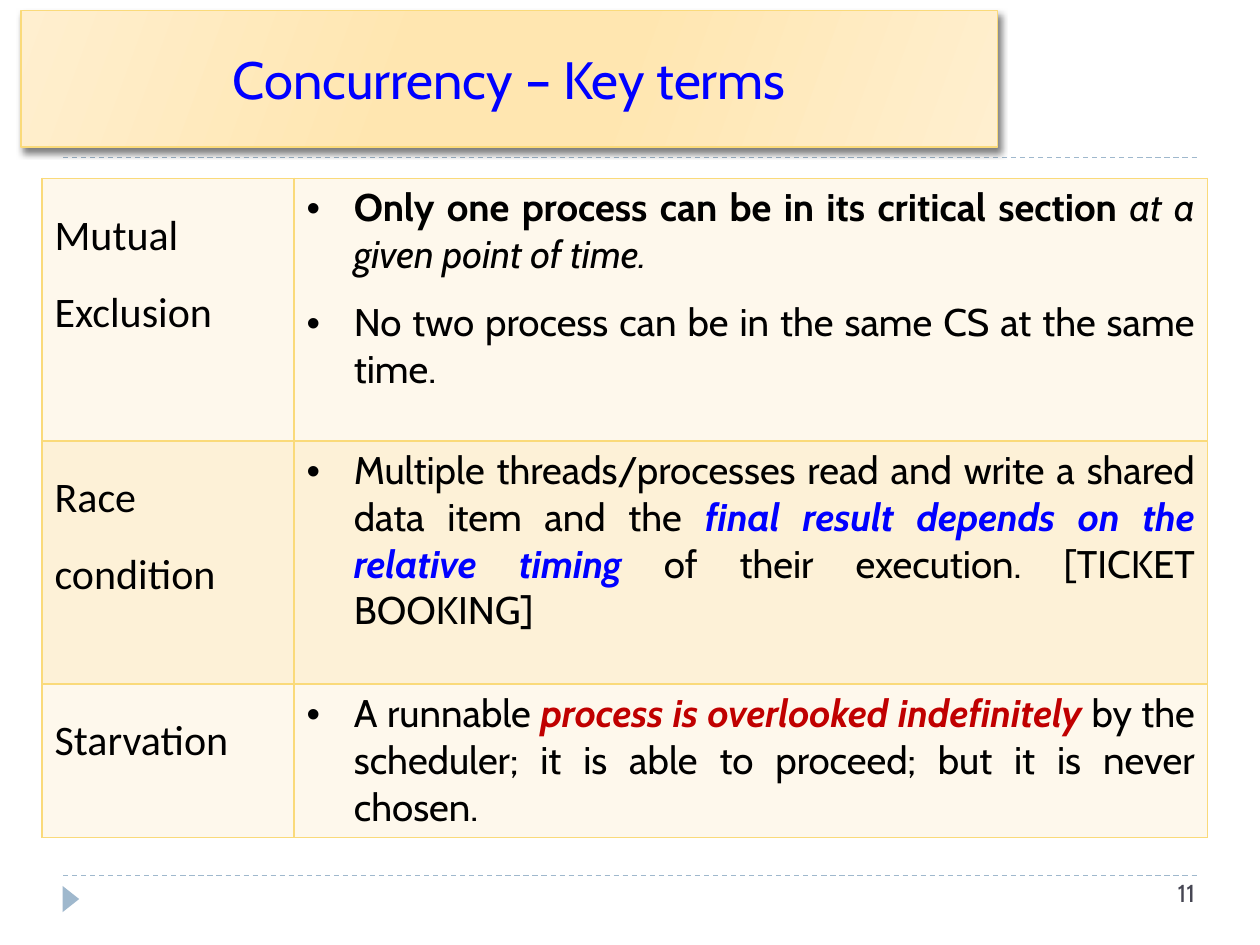
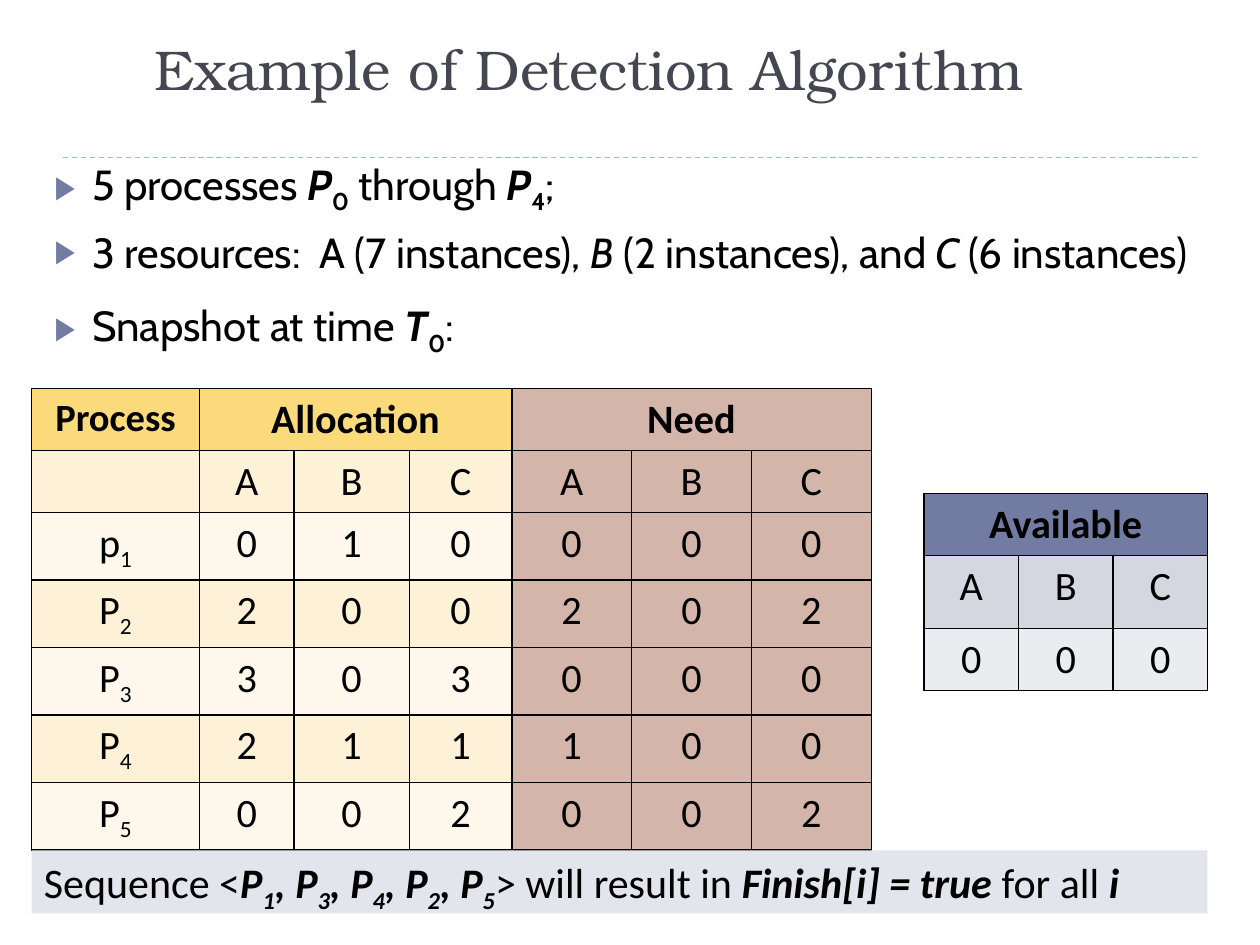
"""Build two slides on concurrency: a key-terms table and a detection example."""
import pptx
import pptx.dml.color
import pptx.enum.dml
import pptx.enum.shapes
import pptx.enum.text
import pptx.oxml
import pptx.oxml.ns
import pptx.util

Pt = pptx.util.Pt
RGB = pptx.dml.color.RGBColor
ALIGN = pptx.enum.text.PP_ALIGN
ANCHOR = pptx.enum.text.MSO_ANCHOR
SHAPE = pptx.enum.shapes.MSO_SHAPE
NAMESPACE = pptx.oxml.ns.nsdecls("a")

BLACK, BLUE, RED = RGB(0, 0, 0), RGB(0, 0, 255), RGB(0xC0, 0, 0)
SLATE, RULE = RGB(0x46, 0x46, 0x53), RGB(0x9F, 0xB8, 0xCD)
GOLD, CREAM, IVORY = RGB(0xFA, 0xDA, 0x7A), RGB(0xFD, 0xF1, 0xD7), RGB(0xFE, 0xF8, 0xEC)
ROSE, INDIGO = RGB(0xD4, 0xB5, 0xAA), RGB(0x72, 0x7C, 0xA3)
MIST, PALE, BAND = RGB(0xD5, 0xD7, 0xE0), RGB(0xEB, 0xEC, 0xF0), RGB(0xE3, 0xE5, 0xED)

PLAIN, BOLD, ITALIC, STRONG = {}, {"bold": True}, {"italic": True}, {"bold": True, "italic": True}
SUB, BOLD_SUB, STRONG_SUB = ({**style, "baseline": -25000} for style in (PLAIN, BOLD, STRONG))

KEY_TERMS = [
    ("Mutual Exclusion", 150, [
        [("Only one process can be in its critical section ", BOLD),
         ("at a given point of time.", ITALIC)],
        [("No two process can be in the same CS at the same time.", PLAIN)]]),
    ("Race condition", 139, [
        [("Multiple threads/processes read and write a shared data item and the ", PLAIN),
         ("final result depends on the relative timing ", {**STRONG, "color": BLUE}),
         ("of their execution. [TICKET BOOKING]", PLAIN)]]),
    ("Starvation", 87.5, [
        [("A runnable ", PLAIN),
         ("process is overlooked indefinitely ", {**STRONG, "color": RED}),
         ("by the scheduler; it is able to proceed; but it is never chosen.", PLAIN)]]),
]
SETUP = [
    (6, [("5 processes ", PLAIN), ("P", STRONG), ("0", BOLD_SUB), (" through ", PLAIN),
         ("P", STRONG), ("4", BOLD_SUB), (";", PLAIN)]),
    (6, [("3 resources:  A (7 instances), ", PLAIN), ("B ", ITALIC),
         ("(2 instances), and ", PLAIN), ("C", ITALIC), (" (6 instances)", PLAIN)]),
    (13.2, [("Snapshot at time ", PLAIN), ("T", STRONG), ("0", BOLD_SUB), (":", PLAIN)]),
]
RESOURCES = "ABC"
SNAPSHOT = [("p1", "010", "000"), ("P2", "200", "202"), ("P3", "303", "000"),
            ("P4", "211", "100"), ("P5", "002", "002")]
AVAILABLE = "000"
SAFE_ORDER = "13425"


def set_all(target, **values):
    for name, value in values.items():
        setattr(target, name, value)


def write(paragraph, parts, font, size, color=BLACK, **layout):
    set_all(paragraph, **layout)
    for text, style in parts:
        run = paragraph.add_run()
        run.text = text
        look = {"color": color, "bold": False, "italic": False, "baseline": 0, **style}
        set_all(run.font, name=font, size=Pt(size), bold=look["bold"], italic=look["italic"])
        run.font.color.rgb = look["color"]
        if look["baseline"]:
            run._r.get_or_add_rPr().set("baseline", str(look["baseline"]))


def add_bullet(paragraph, symbol, indent, color=None, percent=100):
    properties = paragraph._p.get_or_add_pPr()
    properties.set("marL", str(Pt(indent)))
    properties.set("indent", str(-Pt(indent)))
    marks = [f'<a:buClr {NAMESPACE}><a:srgbClr val="{color}"/></a:buClr>'] if color else []
    marks += [f'<a:buSzPct {NAMESPACE} val="{percent * 1000}"/>',
              f'<a:buFont {NAMESPACE} typeface="Arial"/>',
              f'<a:buChar {NAMESPACE} char="{symbol}"/>']
    for mark in marks:
        properties.append(pptx.oxml.parse_xml(mark))


def add_text(slide, box, anchor=ANCHOR.TOP):
    frame = slide.shapes.add_textbox(*map(Pt, box)).text_frame
    set_all(frame, word_wrap=True, vertical_anchor=anchor)
    return frame


def add_block(slide, kind, box, fill):
    block = slide.shapes.add_shape(kind, *map(Pt, box))
    block.shadow.inherit = False
    block.fill.solid()
    block.fill.fore_color.rgb = fill
    block.line.fill.background()
    return block


def add_rule(slide, y):
    rule = slide.shapes.add_connector(
        pptx.enum.shapes.MSO_CONNECTOR.STRAIGHT, Pt(36), Pt(y), Pt(684), Pt(y))
    set_all(rule.line, width=Pt(0.75), dash_style=pptx.enum.dml.MSO_LINE.DASH)
    rule.line.color.rgb = RULE
    rule._element.spPr.append(pptx.oxml.parse_xml(f"<a:effectLst {NAMESPACE}/>"))


def add_slide(deck):
    slide = deck.slides.add_slide(deck.slide_layouts[6])
    add_rule(slide, 90)
    add_block(slide, SHAPE.ISOSCELES_TRIANGLE, (33, 509, 15, 9.5), RULE).rotation = 90
    return slide


def add_grid(slide, left, top, widths, heights, fills, border):
    grid = slide.shapes.add_table(len(heights), len(widths), Pt(left), Pt(top),
                                  Pt(sum(widths)), Pt(sum(heights))).table
    set_all(grid, first_row=False, horz_banding=False)
    for column, width in zip(grid.columns, widths):
        column.width = Pt(width)
    for row, height, row_fills in zip(grid.rows, heights, fills):
        row.height = Pt(height)
        for cell, fill in zip(row.cells, row_fills):
            for side in "LRTB":
                cell._tc.get_or_add_tcPr().append(pptx.oxml.parse_xml(
                    f'<a:ln{side} {NAMESPACE} w="12700"><a:solidFill>'
                    f'<a:srgbClr val="{border}"/></a:solidFill></a:ln{side}>'))
            cell.fill.solid()
            cell.fill.fore_color.rgb = fill
    return grid


def write_cell(cell, parts, size=23):
    write(cell.text_frame.paragraphs[0], parts, "Calibri", size, alignment=ALIGN.CENTER)


def write_header(grid, first, text):
    grid.cell(0, first).merge(grid.cell(0, first + 2))
    write_cell(grid.cell(0, first), [(text, BOLD)])


def write_values(grid, row, first, values):
    for column, value in enumerate(values, first):
        write_cell(grid.cell(row, column), [(value, PLAIN)])


def add_title_panel(slide, text):
    panel = add_block(slide, SHAPE.RECTANGLE, (12, 6, 558, 78), CREAM)
    panel.line.color.rgb = GOLD
    panel.line.width = Pt(1)
    properties = panel._element.spPr
    stops = "".join(f'<a:gs pos="{place}"><a:srgbClr val="{color}"/></a:gs>' for place, color in
                    ((0, "FFEFCF"), (40000, "FFE6B0"), (60000, "FFE6B0"), (100000, "FFEFCF")))
    properties.replace(properties.find(pptx.oxml.ns.qn("a:solidFill")), pptx.oxml.parse_xml(
        f'<a:gradFill {NAMESPACE}><a:gsLst>{stops}</a:gsLst><a:lin ang="1200000"/></a:gradFill>'))
    properties.find(pptx.oxml.ns.qn("a:effectLst")).append(pptx.oxml.parse_xml(
        f'<a:outerShdw {NAMESPACE} blurRad="50800" dist="38100" dir="3600000">'
        '<a:srgbClr val="000000"><a:alpha val="50000"/></a:srgbClr></a:outerShdw>'))
    panel.text_frame.vertical_anchor = ANCHOR.MIDDLE
    write(panel.text_frame.paragraphs[0], [(text, PLAIN)], "Cabin", 30, BLUE,
          alignment=ALIGN.CENTER)


def build_key_terms(deck):
    slide = add_slide(deck)
    add_rule(slide, 500.4)
    add_title_panel(slide, "Concurrency – Key terms")
    write(add_text(slide, (534, 498, 156, 29)).paragraphs[0], [("11", PLAIN)],
          "Cabin", 14, SLATE, alignment=ALIGN.RIGHT)
    grid = add_grid(slide, 24, 102, (144, 522), [height for _, height, _ in KEY_TERMS],
                    [[shade] * 2 for shade in (IVORY, CREAM, IVORY)], GOLD)
    for row, (term, _, meanings) in enumerate(KEY_TERMS):
        write(grid.cell(row, 0).text_frame.paragraphs[0], [(term, PLAIN)], "Calibri", 24,
              line_spacing=1.5)
        frame = grid.cell(row, 1).text_frame
        for index, parts in enumerate(meanings):
            paragraph = frame.add_paragraph() if index else frame.paragraphs[0]
            write(paragraph, parts, "Cabin", 22, alignment=ALIGN.JUSTIFY,
                  space_before=Pt(6), space_after=Pt(6))
            add_bullet(paragraph, "•", 27)


def build_detection(deck):
    slide = add_slide(deck)
    write(add_text(slide, (81, 16.5, 603, 45), ANCHOR.BOTTOM).paragraphs[0],
          [("Example of Detection Algorithm", PLAIN)], "TeX Gyre Bonum", 32, SLATE)
    setup = add_text(slide, (24, 87, 680, 122))
    for index, (gap, parts) in enumerate(SETUP):
        paragraph = setup.add_paragraph() if index else setup.paragraphs[0]
        write(paragraph, parts, "Cabin", 24, space_before=Pt(gap))
        add_bullet(paragraph, "▶", 21.6, INDIGO, 76)

    shades = [GOLD] + [CREAM, IVORY] * 3
    snapshot = add_grid(slide, 18, 222, (96, 54, 66, 58.5, 68.5, 68.5, 68.5),
                        [35.4] * 2 + [38.5] * len(SNAPSHOT),
                        [[shade] * 4 + [ROSE] * 3 for shade in shades], BLACK)
    write_cell(snapshot.cell(0, 0), [("Process", BOLD)], 22)
    write_header(snapshot, 1, "Allocation")
    write_header(snapshot, 4, "Need")
    write_values(snapshot, 1, 1, RESOURCES * 2)
    for row, (process, allocation, need) in enumerate(SNAPSHOT, 2):
        write_cell(snapshot.cell(row, 0), [(process[0], PLAIN), (process[1], SUB)])
        write_values(snapshot, row, 1, allocation + need)

    available = add_grid(slide, 528, 282, [54] * 3, (35.4, 41.7, 35.4),
                         [[shade] * 3 for shade in (INDIGO, MIST, PALE)], BLACK)
    write_header(available, 0, "Available")
    write_values(available, 1, 0, RESOURCES)
    write_values(available, 2, 0, AVAILABLE)

    sequence = [("Sequence <", PLAIN)]
    for place, process in enumerate(SAFE_ORDER):
        sequence += [(", P" if place else "P", STRONG), (process, STRONG_SUB)]
    sequence += [("> will result in ", PLAIN), ("Finish[i] = true ", STRONG),
                 ("for all ", PLAIN), ("i", STRONG)]
    conclusion = add_block(slide, SHAPE.RECTANGLE, (18, 486, 672, 36), BAND).text_frame
    conclusion.vertical_anchor = ANCHOR.TOP
    write(conclusion.paragraphs[0], sequence, "Calibri", 24, alignment=ALIGN.LEFT)


def main():
    deck = pptx.Presentation()
    set_all(deck, slide_width=Pt(720), slide_height=Pt(540))
    build_key_terms(deck)
    build_detection(deck)
    deck.save("out.pptx")


if __name__ == "__main__":
    main()
